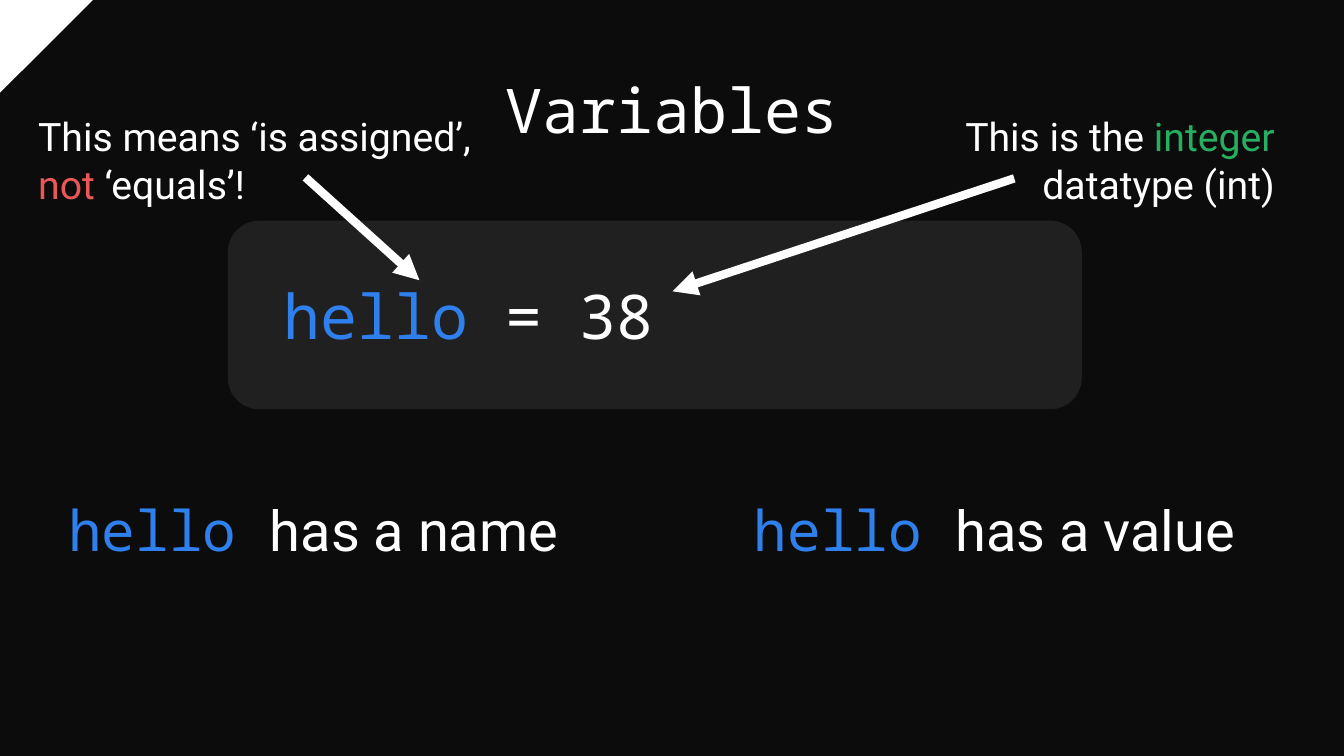
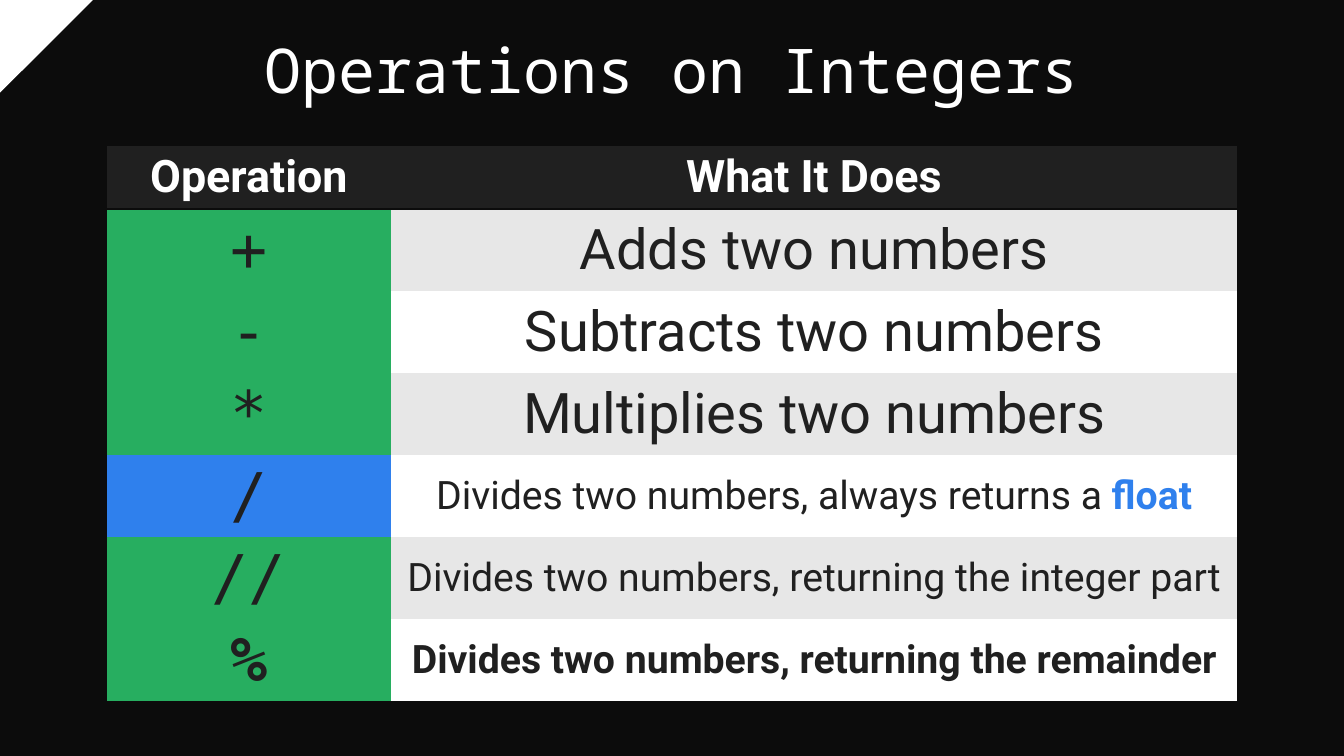
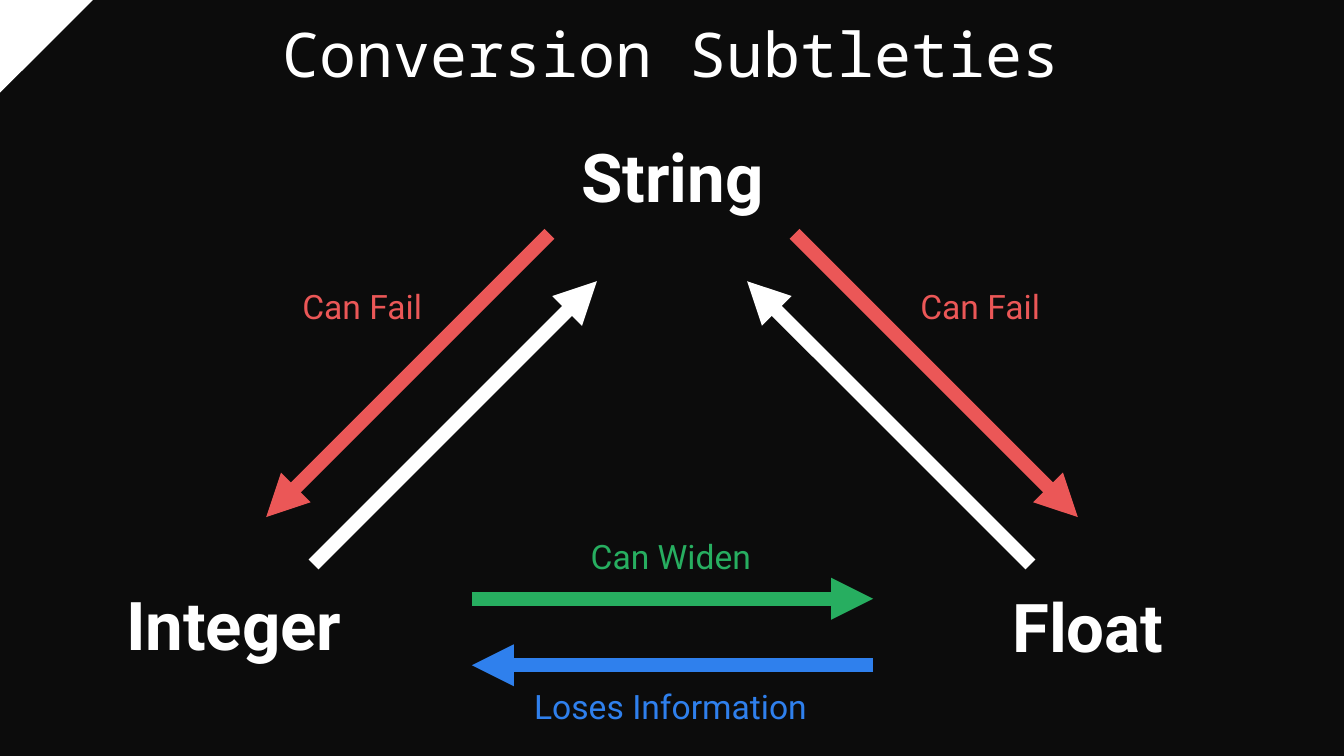
from lxml import etree
from pptx import Presentation
from pptx.dml.color import RGBColor
from pptx.enum import shapes, text
from pptx.oxml import ns
from pptx.util import Inches, Pt

COLOURS = {
    "black": "0C0C0C", "panel": "202020", "white": "FFFFFF", "grey": "E7E7E7",
    "blue": "2F80ED", "red": "EB5757", "green": "27AE60",
}
MONO, SYMBOL, SANS = "Noto Sans Mono", "DejaVu Sans Mono", "Roboto"
LEFT, CENTER, RIGHT = text.PP_ALIGN.LEFT, text.PP_ALIGN.CENTER, text.PP_ALIGN.RIGHT
MIDDLE = text.MSO_ANCHOR.MIDDLE
WIDTH, HEIGHT = 13.33, 7.5
NO_TABLE_STYLE = "{2D5ABB26-0587-4C30-8999-92F81FD0307C}"

# Text spans are (text, colour, font), the font being optional.
CODE_LINE = [[(" ", "red"), ("hello", "blue"), (" = 38", "white")]]
FACTS = [(0.58, "has a name"), (7.38, "has a value")]
NOTES = [
    ((0.28, 1.07, 4.52, 1.04), LEFT,
     [[("This means ‘is assigned’, ", "white"), ("not", "red"), (" ‘equals’!", "white")]]),
    ((9.12, 1.07, 3.62, 1.04), RIGHT,
     [[("This is the ", "white"), ("integer", "green")], [("datatype (int)", "white")]]),
]
NOTE_ARROWS = [((3.03, 1.76), (4.16, 2.78)), ((10.06, 1.77), (6.67, 2.89))]

TABLE_HEADER = ["Operation", "What It Does"]
OPERATIONS = [  # symbol, symbol fill, description spans, description size
    ("+", "green", [("Adds two numbers", "panel")], 40),
    ("-", "green", [("Subtracts two numbers", "panel")], 40),
    ("*", "green", [("Multiplies two numbers", "panel")], 40),
    ("/", "blue", [("Divides two numbers, always returns a ", "panel"), ("float", "blue")], 28),
    ("//", "green", [("Divides two numbers, returning the integer part", "panel")], 28),
    ("%", "green", [("Divides two numbers, returning the remainder", "panel")], 28),
]
COLUMN_WIDTHS = [2.82, 8.39]
HEADER_HEIGHT, ROW_HEIGHT = 0.61, 0.81

DATATYPES = [
    ("Integer", (1.03, 5.74, 2.58, 0.91)),
    ("String", (5.38, 1.29, 2.58, 0.91)),
    ("Float", (9.73, 5.76, 2.12, 0.91)),
]
LEVEL_ARROWS = [((4.68, 5.94), (8.66, 5.94), "green"), ((8.66, 6.6), (4.68, 6.6), "blue")]
LEFT_ARROWS = [((5.45, 2.32), (2.64, 5.13), "red"), ((3.11, 5.6), (5.92, 2.79), "white")]
ARROW_LABELS = [
    ("Can Widen", "green", (5.76, 5.27, 1.81, 0.5)),
    ("Loses Information", "blue", (5.2, 6.76, 2.93, 0.5)),
    ("Can Fail", "red", (2.9, 2.79, 1.41, 0.5)),
    ("Can Fail", "red", (9.03, 2.79, 1.41, 0.5)),
]


def rgb(name):
    return RGBColor.from_string(COLOURS[name])


def paint(target, colour):
    target.fill.solid()
    target.fill.fore_color.rgb = rgb(colour)


def write(frame, paragraphs, size, font=SANS, align=LEFT, bold=False):
    """Fill a text frame with paragraphs, each a list of spans."""
    for index, spans in enumerate(paragraphs):
        para = frame.add_paragraph() if index else frame.paragraphs[0]
        para.alignment = align
        for content, colour, *own_font in spans:
            span = para.add_run()
            span.text = content
            span.font.size = Pt(size)
            span.font.name = own_font[0] if own_font else font
            span.font.bold = bold
            span.font.color.rgb = rgb(colour)


def add_text(page, place, paragraphs, size, wrap=True, **style):
    box = page.shapes.add_textbox(*map(Inches, place))
    box.text_frame.word_wrap = wrap
    box.text_frame.auto_size = text.MSO_AUTO_SIZE.SHAPE_TO_FIT_TEXT
    write(box.text_frame, paragraphs, size, **style)


def add_plain_shape(page, kind, place, colour):
    shape = page.shapes.add_shape(kind, *map(Inches, place))
    shape.shadow.inherit = False
    paint(shape, colour)
    shape.line.fill.background()
    return shape


def add_arrow(page, start, end, colour, weight):
    arrow = page.shapes.add_connector(
        shapes.MSO_CONNECTOR.STRAIGHT, *map(Inches, (*start, *end)))
    arrow.line.color.rgb = rgb(colour)
    arrow.line.width = Pt(weight)
    properties = arrow.element.spPr
    line = properties.find(ns.qn("a:ln"))
    etree.SubElement(line, ns.qn("a:tailEnd"), type="triangle")
    etree.SubElement(properties, ns.qn("a:effectLst"))


def add_page(deck, title, place):
    page = deck.slides.add_slide(deck.slide_layouts[5])
    box = page.shapes.title
    box.left, box.top, box.width, box.height = map(Inches, place)
    frame = box.text_frame
    frame.word_wrap = True
    frame.auto_size = text.MSO_AUTO_SIZE.NONE
    frame.vertical_anchor = MIDDLE
    write(frame, [[(title, "white")]], 44, MONO, CENTER)
    frame.paragraphs[0].line_spacing = 0.9
    return page


def style_master(deck, page):
    """Give the master its background and the corner, which is drawn on a page and moved."""
    master = deck.slide_master
    paint(master.background, "black")
    corner = add_plain_shape(
        page, shapes.MSO_SHAPE.RIGHT_TRIANGLE, (0, 0, 0.92, 0.92), "white")
    corner.rotation = 90
    master.shapes.element.insert(2, corner.element)


def fill_variables(page):
    panel = add_plain_shape(
        page, shapes.MSO_SHAPE.ROUNDED_RECTANGLE, (2.26, 2.19, 8.47, 1.87), "panel")
    panel.text_frame.vertical_anchor = MIDDLE
    write(panel.text_frame, CODE_LINE, 44, MONO)
    for left, fact in FACTS:
        spans = [("hello ", "blue", MONO), (fact, "white")]
        add_text(page, (left, 4.87, 5.37, 0.77), [spans], 40)
    for place, align, paragraphs in NOTES:
        add_text(page, place, paragraphs, 28, align=align)
    for start, end in NOTE_ARROWS:
        add_arrow(page, start, end, "white", 6)


def fill_cell(cell, fill, spans, size, font=SANS, bold=False):
    paint(cell, fill)
    cell.vertical_anchor = MIDDLE
    write(cell.text_frame, [spans], size, font, CENTER, bold)


def add_bottom_border(cell):
    properties = cell._tc.get_or_add_tcPr()
    border = etree.Element(ns.qn("a:lnB"), w=str(Pt(2)))
    fill = etree.SubElement(border, ns.qn("a:solidFill"))
    etree.SubElement(fill, ns.qn("a:srgbClr"), val=COLOURS["black"])
    properties.insert(0, border)


def fill_operations(page):
    heights = [HEADER_HEIGHT] + [ROW_HEIGHT] * len(OPERATIONS)
    place = (1.06, 1.45, sum(COLUMN_WIDTHS), sum(heights))
    table = page.shapes.add_table(
        len(heights), len(COLUMN_WIDTHS), *map(Inches, place)).table
    table._tbl.tblPr.find(ns.qn("a:tableStyleId")).text = NO_TABLE_STYLE
    for column, width in zip(table.columns, COLUMN_WIDTHS):
        column.width = Inches(width)
    for row, height in zip(table.rows, heights):
        row.height = Inches(height)

    for column, heading in enumerate(TABLE_HEADER):
        cell = table.cell(0, column)
        fill_cell(cell, "panel", [(heading, "white")], 32, bold=True)
        add_bottom_border(cell)
    for row, (symbol, fill, spans, size) in enumerate(OPERATIONS, 1):
        last = row == len(OPERATIONS)
        symbol_cell, description_cell = table.cell(row, 0), table.cell(row, 1)
        fill_cell(symbol_cell, fill, [(symbol, "panel")], 44, SYMBOL, last)
        fill_cell(description_cell, "grey" if row % 2 else "white", spans, size, bold=last)
        for span in description_cell.text_frame.paragraphs[0].runs[1:]:
            span.font.bold = True


def mirror(point):
    return WIDTH - point[0], point[1]


def fill_conversions(page):
    for name, place in DATATYPES:
        add_text(page, place, [[(name, "white")]], 48, align=CENTER, bold=True)
    right_arrows = [(mirror(start), mirror(end), colour) for start, end, colour in LEFT_ARROWS]
    for start, end, colour in LEVEL_ARROWS + right_arrows + LEFT_ARROWS:
        add_arrow(page, start, end, colour, 10)
    for label, colour, place in ARROW_LABELS:
        add_text(page, place, [[(label, colour)]], 24, wrap=False)


def main():
    deck = Presentation()
    deck.slide_width, deck.slide_height = Inches(WIDTH), Inches(HEIGHT)
    variables = add_page(deck, "Variables", (1.77, 0.4, 9.79, 1.45))
    style_master(deck, variables)
    fill_variables(variables)
    fill_operations(add_page(deck, "Operations on Integers", (1.77, 0, 9.79, 1.45)))
    fill_conversions(add_page(deck, "Conversion Subtleties", (1.52, -0.02, 10.28, 1.19)))
    deck.save("out.pptx")


if __name__ == "__main__":
    main()
